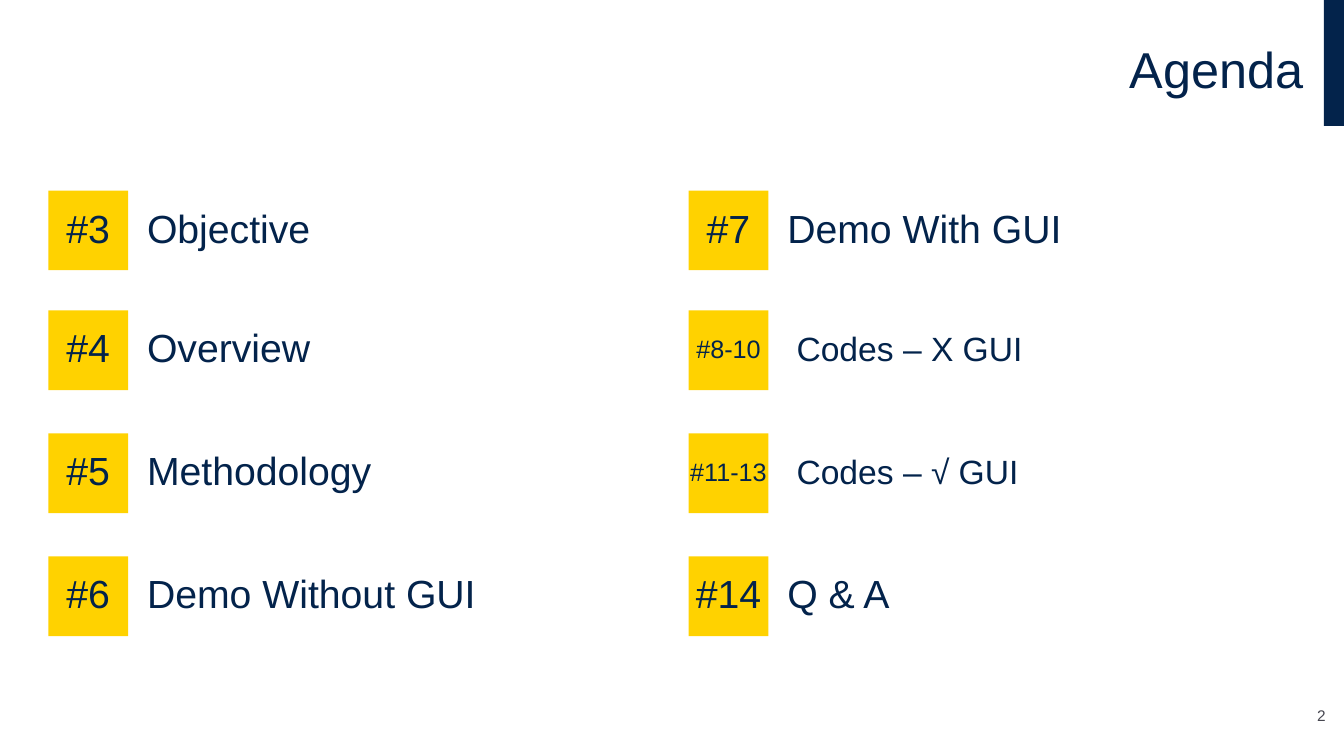
"""Build the agenda slide with two columns of numbered topics."""
import pptx
import pptx.util
import pptx.dml.color
import pptx.enum.shapes
import pptx.enum.text

PX = 9144
HUES = {"navy": "03234B", "gold": "FFD200", "gray": "464650"}
ALIGN = pptx.enum.text.PP_ALIGN
ANCHOR = pptx.enum.text.MSO_ANCHOR


def block(left, top, width, height, hue):
    rect = pptx.enum.shapes.MSO_SHAPE.RECTANGLE
    shape = slide.shapes.add_shape(rect, left * PX, top * PX, width * PX, height * PX)
    shape.shadow.inherit = False
    shape.fill.solid()
    shape.fill.fore_color.rgb = pptx.dml.color.RGBColor.from_string(HUES[hue])
    shape.line.fill.background()
    return shape


def write(shape, text, size, align, inset=10, edge=5, wrap=True,
          anchor=ANCHOR.MIDDLE, hue="navy", space=0.9):
    frame = shape.text_frame
    frame.word_wrap = wrap
    frame.auto_size = pptx.enum.text.MSO_AUTO_SIZE.NONE
    frame.vertical_anchor = anchor
    frame.margin_left = inset * PX
    frame.margin_right = min(inset, 10) * PX
    frame.margin_top = frame.margin_bottom = edge * PX
    para = frame.paragraphs[0]
    para.alignment = align
    para.line_spacing = space
    run = para.add_run()
    run.text = text
    run.font.name = "Arial"
    run.font.size = pptx.util.Pt(size)
    run.font.color.rgb = pptx.dml.color.RGBColor.from_string(HUES[hue])


deck = pptx.Presentation()
deck.slide_width = 1333 * PX
deck.slide_height = 750 * PX
slide = deck.slides.add_slide(deck.slide_layouts[5])

block(1313, 0, 20, 125, "navy")
title = slide.shapes.title
title.left, title.top = 33 * PX, 0
title.width, title.height = 1270 * PX, 143 * PX
write(title, "Agenda", 36, ALIGN.RIGHT)

tops = [189, 308, 430, 552]
main = (28, 28, 10)
sub = (18, 24, 19)
columns = {
    48: [("#3", "Objective", main), ("#4", "Overview", main),
         ("#5", "Methodology", main), ("#6", "Demo Without GUI", main)],
    683: [("#7", "Demo With GUI", main), ("#8-10", "Codes – X GUI", sub),
          ("#11-13", "Codes – √ GUI", sub), ("#14", "Q & A", main)],
}
for left, topics in columns.items():
    for top, (number, topic, style) in zip(tops, topics):
        small, large, inset = style
        badge = block(left, top, 79, 79, "gold")
        write(badge, number, small, ALIGN.CENTER, inset=0, edge=0, wrap=False)
        label = slide.shapes.add_textbox((left + 88) * PX, top * PX, 519 * PX, 79 * PX)
        write(label, topic, large, ALIGN.LEFT, inset=inset)

page = slide.shapes.add_textbox(1270 * PX, 692 * PX, 45 * PX, 32 * PX)
write(page, "2", 11, ALIGN.RIGHT, inset=0, anchor=ANCHOR.BOTTOM, hue="gray", space=1.0)

deck.save("out.pptx")
